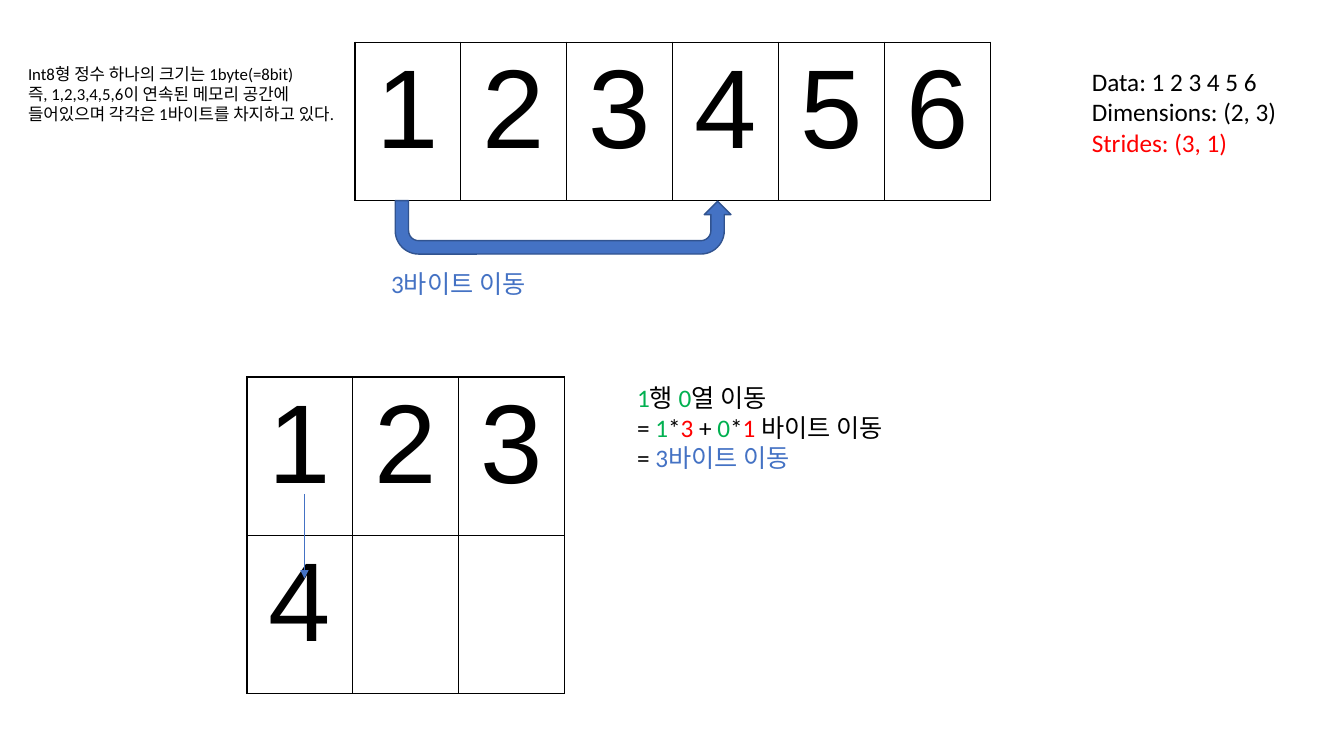
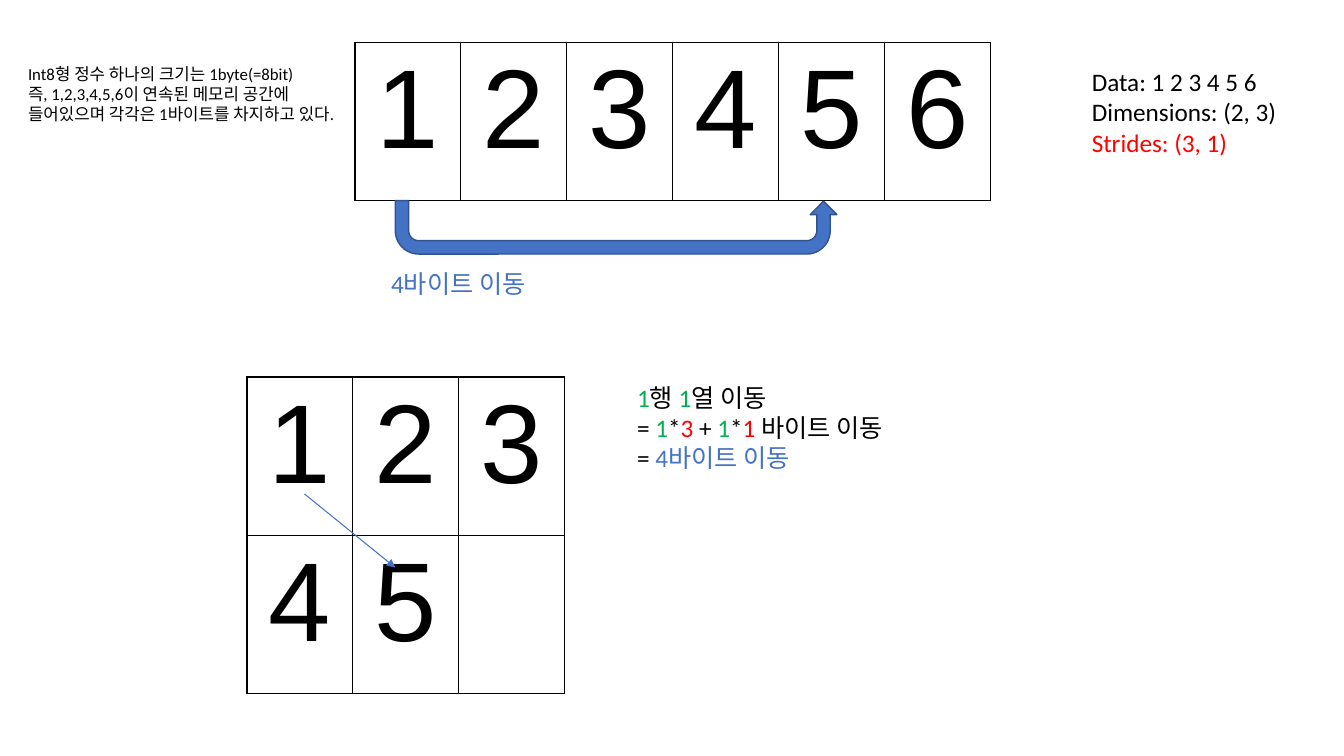
from lxml import etree
from pptx import Presentation
from pptx.dml.color import RGBColor
from pptx.enum.shapes import MSO_CONNECTOR, MSO_SHAPE
from pptx.enum.text import PP_ALIGN
from pptx.oxml.ns import qn
from pptx.util import Inches, Pt

STRAIGHT = MSO_CONNECTOR.STRAIGHT
UTURN = MSO_SHAPE.U_TURN_ARROW
CENTER = PP_ALIGN.CENTER
BLACK, RED, GREEN, BLUE, NAVY = "000000", "FF0000", "00B050", "4472C4", "31538F"

DATA = [1, 2, 3, 4, 5, 6]
ROWS, COLS = 2, 3
ROW_STRIDE, COL_STRIDE = 3, 1
MOVES = [
    {"row": 1, "col": 0, "tip": (3.02, 5.74)},
    {"row": 1, "col": 1, "tip": (3.92, 5.63)},
]
SUMMARY = [
    [("Data: 1 2 3 4 5 6", BLACK)],
    [("Dimensions: (2, 3)", BLACK)],
    [("Strides: (3, 1)", RED)],
]
MEMORY_NOTE = [
    [("Int8형 정수 하나의 크기는 1byte(=8bit)", BLACK)],
    [("즉, 1,2,3,4,5,6이 연속된 메모리 공간에 들어있으며 각각은 1바이트를 차지하고 있다.", BLACK)],
]

CELL_W, CELL_H = 1.05, 1.57
MOVE_START = (3.02, 4.9)
UTURN_ADJUSTMENTS = [0.25, 0.25, 0.25, 0.438, 0.989]


def rgb(value):
    return RGBColor.from_string(value)


def write(paragraph, runs, size, font="Calibri"):
    for text, color in runs:
        run = paragraph.add_run()
        run.text = text
        for key, value in {"name": font, "size": Pt(size)}.items():
            setattr(run.font, key, value)
        run.font.color.rgb = rgb(color)


def add_text(slide, box, lines, size=18):
    frame = slide.shapes.add_textbox(*map(Inches, box)).text_frame
    frame.word_wrap = True
    for index, runs in enumerate(lines):
        paragraph = frame.add_paragraph() if index else frame.paragraphs[0]
        write(paragraph, runs, size)


def add_borders(cell):
    properties = cell._tc.get_or_add_tcPr()
    for side in ("lnL", "lnR", "lnT", "lnB"):
        border = etree.SubElement(properties, qn("a:" + side), w=str(Pt(1)))
        fill = etree.SubElement(border, qn("a:solidFill"))
        etree.SubElement(fill, qn("a:srgbClr"), val=BLACK)


def add_grid(slide, left, top, rows, cols, numbers):
    frame = slide.shapes.add_table(
        rows, cols, Inches(left), Inches(top),
        Inches(cols * CELL_W), Inches(rows * CELL_H))
    grid = frame.table
    for key, value in {"first_row": False, "horz_banding": False}.items():
        setattr(grid, key, value)
    for column in grid.columns:
        column.width = Inches(CELL_W)
    for row in grid.rows:
        row.height = Inches(CELL_H)
    for cell in grid.iter_cells():
        add_borders(cell)
        cell.fill.background()
    for number, cell in zip(numbers, grid.iter_cells()):
        paragraph = cell.text_frame.paragraphs[0]
        paragraph.alignment = CENTER
        write(paragraph, [(str(number), BLACK)], 80, "Arial")


def add_move_line(slide, tip):
    move = slide.shapes.add_connector(
        STRAIGHT, *map(Inches, MOVE_START + tip))
    move.line.color.rgb = rgb(BLUE)
    move.line.width = Pt(0.75)
    properties = move._element.spPr
    etree.SubElement(properties.find(qn("a:ln")), qn("a:tailEnd"), type="triangle")
    etree.SubElement(properties, qn("a:effectLst"))


def add_jump(slide, distance):
    box = (3.92, 1.99, distance * CELL_W + 0.18, 0.53)
    jump = slide.shapes.add_shape(UTURN, *map(Inches, box))
    for index, value in enumerate(UTURN_ADJUSTMENTS):
        jump.adjustments[index] = value
    jump.rotation = 180
    jump._element.spPr.find(qn("a:xfrm")).set("flipH", "1")
    jump.shadow.inherit = False
    jump.fill.solid()
    jump.fill.fore_color.rgb = rgb(BLUE)
    jump.line.color.rgb = rgb(NAVY)
    jump.line.width = Pt(1)


def formula(row, col, result):
    return [
        [(str(row), GREEN), ("행 ", BLACK), (str(col), GREEN), ("열 이동", BLACK)],
        [("= ", BLACK), (str(row), GREEN), ("*", BLACK), (str(ROW_STRIDE), RED),
         (" + ", BLACK), (str(col), GREEN), ("*", BLACK), (str(COL_STRIDE), RED),
         (" 바이트 이동", BLACK)],
        [("= ", BLACK), result],
    ]


def build(slide, row, col, tip):
    distance = row * ROW_STRIDE + col * COL_STRIDE
    result = (f"{distance}바이트 이동", BLUE)
    add_grid(slide, 3.52, 0.42, 1, len(DATA), DATA)
    add_grid(slide, 2.45, 3.74, ROWS, COLS, DATA[:distance + 1])
    add_text(slide, (10.73, 0.61, 2.05, 1.01), SUMMARY)
    add_text(slide, (0.18, 0.58, 3.33, 0.91), MEMORY_NOTE, 12)
    add_move_line(slide, tip)
    add_jump(slide, distance)
    add_text(slide, (3.78, 2.61, 2.78, 0.4), [[result]])
    add_text(slide, (6.22, 3.74, 2.77, 1.01), formula(row, col, result))


deck = Presentation()
deck.slide_width, deck.slide_height = Inches(13.33), Inches(7.5)
blank = deck.slide_layouts[6]
for move in MOVES:
    build(deck.slides.add_slide(blank), **move)
deck.save("out.pptx")
